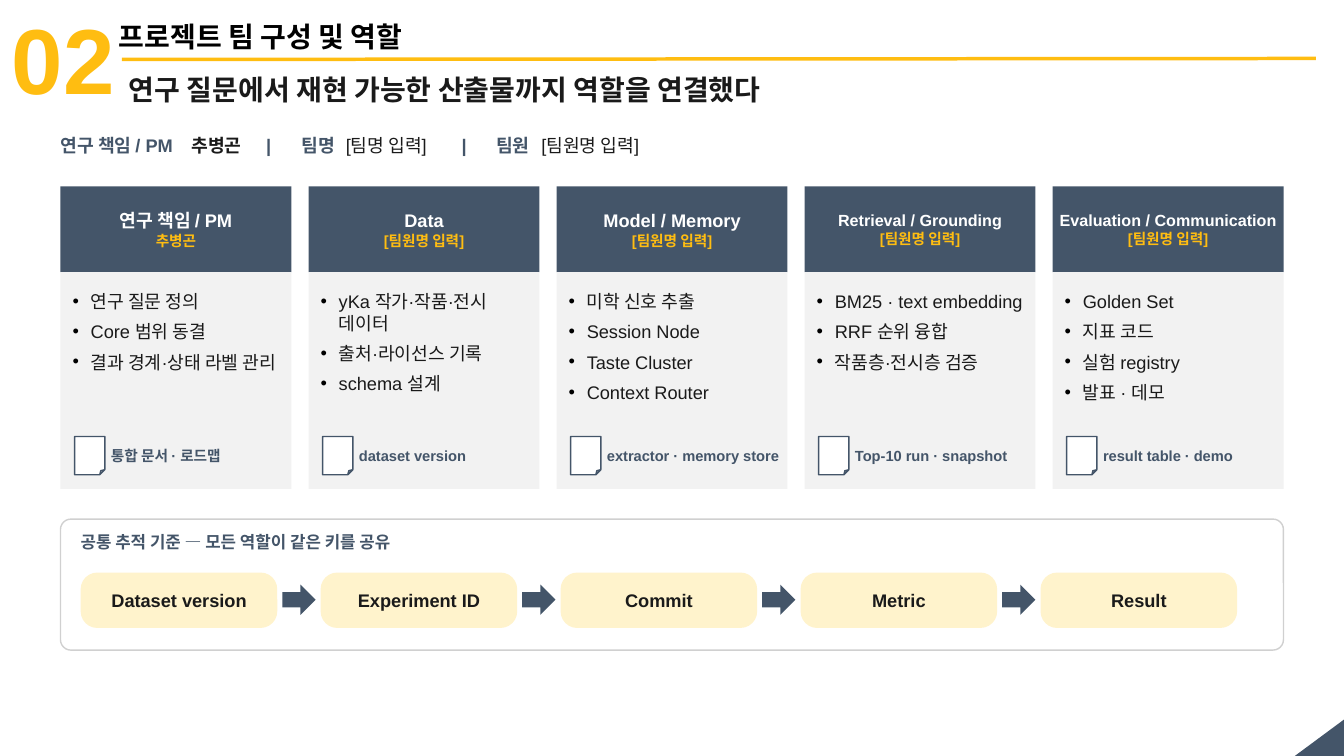
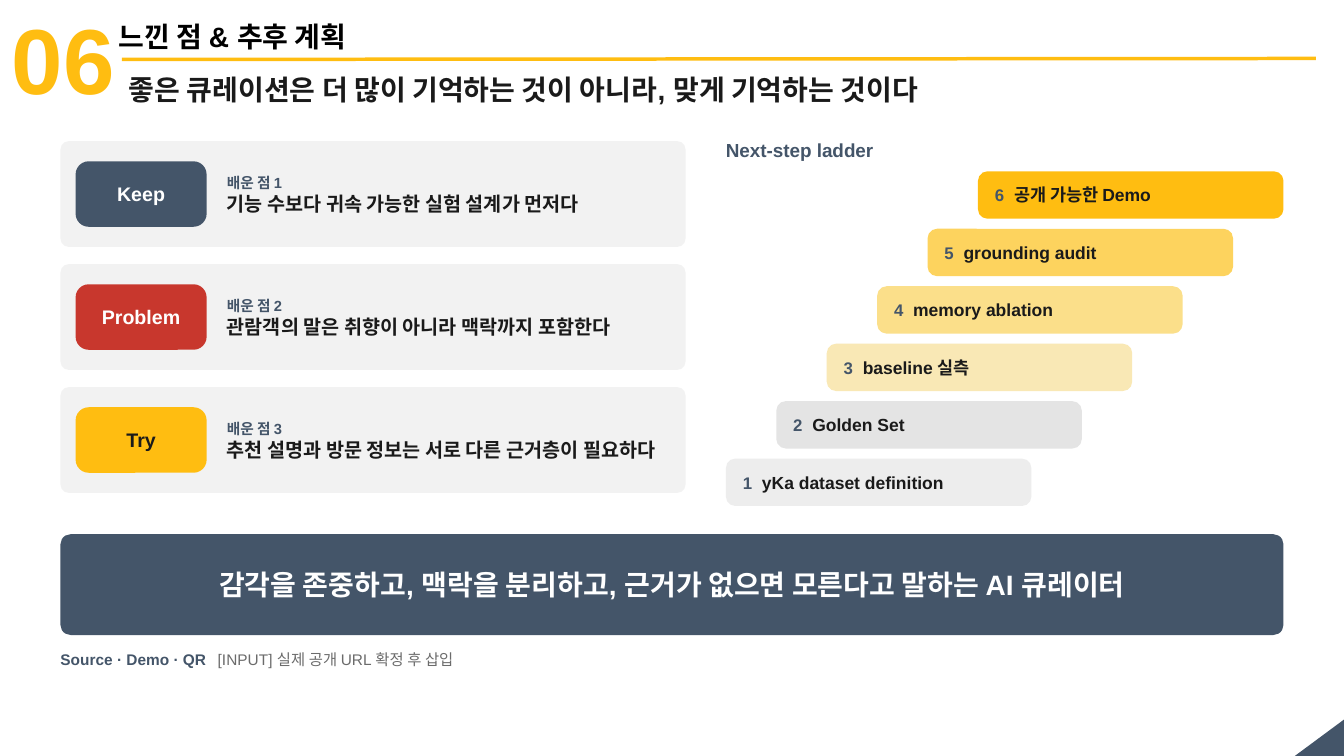
import pptx
import pptx.dml.color
import pptx.enum.shapes
import pptx.enum.text
import pptx.oxml.ns
import pptx.util
from lxml import etree

EMU_PER_PX = 9144  # 100 px to the inch
FONT = "Arial"
NAVY, AMBER, RED, INK = "445569", "FFBD11", "C8372D", "1A1A1A"
WHITE, BLACK, PALE, CREAM = "FFFFFF", "000000", "F2F2F2", "FFF3CC"
BORDER, MUTED = "D0D0D0", "6B6B6B"
LEFT, FULL_WIDTH = 60, 1213

SHAPE = pptx.enum.shapes.MSO_SHAPE
MIDDLE = pptx.enum.text.MSO_ANCHOR.MIDDLE
TOP = pptx.enum.text.MSO_ANCHOR.TOP
CENTER = pptx.enum.text.PP_ALIGN.CENTER
START = pptx.enum.text.PP_ALIGN.LEFT


def px(length):
    return pptx.util.Emu(length * EMU_PER_PX)


def rgb(color):
    return pptx.dml.color.RGBColor.from_string(color)


def add_child(parent, tag, **attributes):
    child = etree.SubElement(parent, pptx.oxml.ns.qn(tag))
    for name, value in attributes.items():
        child.set(name, str(value))
    return child


def set_bullet(paragraph, indent):
    properties = paragraph._p.get_or_add_pPr()
    properties.set("marL", str(px(indent)))
    properties.set("indent", str(px(-indent)))
    add_child(add_child(properties, "a:buClr"), "a:srgbClr", val=BLACK)
    add_child(properties, "a:buFont", typeface=FONT)
    add_child(properties, "a:buChar", char="•")
    paragraph.space_after = pptx.util.Pt(6)


def set_tabs(paragraph, stops):
    tab_list = add_child(paragraph._p.get_or_add_pPr(), "a:tabLst")
    for stop in stops:
        add_child(tab_list, "a:tab", pos=px(stop), algn="l")


def write(frame, paragraphs, insets=(0, 3), anchor=TOP, align=START,
          tabs=(), bullet_indent=0):
    """Fill a frame; each paragraph is a list of (text, size, color, bold)."""
    frame.word_wrap = True
    frame.vertical_anchor = anchor
    frame.margin_left = frame.margin_right = px(insets[0])
    frame.margin_top = frame.margin_bottom = px(insets[1])
    for index, runs in enumerate(paragraphs):
        paragraph = frame.add_paragraph() if index else frame.paragraphs[0]
        paragraph.alignment = align
        if bullet_indent:
            set_bullet(paragraph, bullet_indent)
        if tabs:
            set_tabs(paragraph, tabs)
        for text, size, color, bold in runs:
            run = paragraph.add_run()
            run.text = text
            run.font.name = FONT
            run.font.size = pptx.util.Pt(size)
            run.font.bold = bold
            run.font.color.rgb = rgb(color)


def add_text(slide, box, paragraphs, **layout):
    textbox = slide.shapes.add_textbox(*map(px, box))
    write(textbox.text_frame, paragraphs, **layout)


def add_panel(slide, kind, box, fill, line=None, corner=None):
    panel = slide.shapes.add_shape(kind, *map(px, box))
    panel.shadow.inherit = False
    panel.fill.solid()
    panel.fill.fore_color.rgb = rgb(fill)
    if line:
        panel.line.color.rgb = rgb(line)
        panel.line.width = pptx.util.Pt(1)
    else:
        panel.line.fill.background()
    if corner is not None:
        panel.adjustments[0] = corner
    return panel


def add_label(slide, kind, box, fill, paragraphs, corner=None, inset=0,
              align=CENTER, tabs=()):
    """Add a filled panel with vertically centred text."""
    panel = add_panel(slide, kind, box, fill, corner=corner)
    write(panel.text_frame, paragraphs, (inset, 3), MIDDLE, align, tabs)


def add_rule(slide, start, end, color, weight):
    rule = slide.shapes.add_connector(
        pptx.enum.shapes.MSO_CONNECTOR.STRAIGHT, *map(px, start + end))
    rule.line.color.rgb = rgb(color)
    rule.line.width = pptx.util.Pt(weight)
    add_child(rule._element.spPr, "a:effectLst")


def add_section_slide(deck, number, section, headline):
    slide = deck.slides.add_slide(deck.slide_layouts[6])
    corner = add_panel(slide, SHAPE.RIGHT_TRIANGLE, (1290, 707, 37, 50), NAVY)
    corner.rotation = 270
    add_text(slide, (2, 0, 127, 118), [[(number, 66, AMBER, True)]],
             insets=(10, 2))
    add_text(slide, (108, 14, 700, 44), [[(section, 20, BLACK, True)]],
             insets=(10, 5))
    add_rule(slide, (121, 59), (1305, 58), AMBER, 2.5)
    add_text(slide, (118, 67, 1190, 44), [[(headline, 20, INK, True)]],
             insets=(10, 5))
    return slide


def add_role_card(slide, left, role, member, duties, deliverable):
    role_size = 11.5 if len(role) > 20 else 13
    add_label(slide, SHAPE.RECTANGLE, (left, 185, 229, 85), NAVY,
              [[(role, role_size, WHITE, True)], [(member, 10.5, AMBER, True)]],
              inset=5)
    add_panel(slide, SHAPE.RECTANGLE, (left, 270, 229, 215), PALE)
    add_text(slide, (left + 10, 285, 210, 150),
             [[(duty, 13, INK, False)] for duty in duties],
             insets=(2, 3), bullet_indent=18)
    add_panel(slide, SHAPE.FOLDED_CORNER, (left + 14, 433, 30, 38), WHITE, NAVY)
    add_text(slide, (left + 50, 429, 175, 46),
             [[(deliverable, 10.5, NAVY, True)]], anchor=MIDDLE)


def add_key_chain(slide, keys):
    add_panel(slide, SHAPE.ROUNDED_RECTANGLE, (LEFT, 515, FULL_WIDTH, 130),
              WHITE, BORDER, 0.08)
    add_text(slide, (80, 524, 400, 35),
             [[("공통 추적 기준 — 모든 역할이 같은 키를 공유", 12, NAVY, True)]])
    for index, key in enumerate(keys):
        left = 80 + 238 * index
        if index:
            add_panel(slide, SHAPE.RIGHT_ARROW, (left - 38, 580, 33, 30), NAVY)
        add_label(slide, SHAPE.ROUNDED_RECTANGLE, (left, 568, 195, 55), CREAM,
                  [[(key, 13, INK, True)]], corner=0.3, inset=4)


def add_lesson(slide, index, tag, tag_fill, tag_color, lesson):
    top = 140 + 122 * index
    add_panel(slide, SHAPE.ROUNDED_RECTANGLE, (LEFT, top, 620, 105), PALE,
              corner=0.08)
    add_label(slide, SHAPE.ROUNDED_RECTANGLE, (75, top + 20, 130, 65), tag_fill,
              [[(tag, 14, tag_color, True)]], corner=0.2)
    add_text(slide, (225, top + 8, 445, 90),
             [[(f"배운 점 {index + 1}", 10.5, NAVY, True)],
              [(lesson, 14, INK, True)]], anchor=MIDDLE)


def add_ladder(slide, steps):
    add_text(slide, (720, 135, 550, 35),
             [[("Next-step ladder", 13.5, NAVY, True)]])
    for index, (step, fill) in enumerate(steps):
        add_label(slide, SHAPE.ROUNDED_RECTANGLE,
                  (720 + 50 * index, 455 - 57 * index, 303, 47), fill,
                  [[(f"{index + 1}\t", 12, NAVY, True),
                    (step, 12.5, INK, True)]],
                  corner=0.2, inset=14, align=START, tabs=[19])


def build_team_slide(deck):
    slide = add_section_slide(deck, "02", "프로젝트 팀 구성 및 역할",
                              "연구 질문에서 재현 가능한 산출물까지 역할을 연결했다")
    add_text(slide, (LEFT, 130, 1210, 40), [[
        ("연구 책임 / PM", 13, NAVY, True),
        ("\t추병곤", 13, INK, True),
        ("\t|\t팀명", 13, NAVY, True),
        ("\t[팀명 입력]", 13, INK, False),
        ("\t|\t팀원", 13, NAVY, True),
        ("\t[팀원명 입력]", 13, INK, False),
    ]], tabs=[130, 204, 239, 283, 398, 432, 477])
    unnamed = "[팀원명 입력]"
    roles = [
        ("연구 책임 / PM", "추병곤",
         ["연구 질문 정의", "Core 범위 동결", "결과 경계·상태 라벨 관리"],
         "통합 문서 · 로드맵"),
        ("Data", unnamed,
         ["yKa 작가·작품·전시 데이터", "출처·라이선스 기록", "schema 설계"],
         "dataset version"),
        ("Model / Memory", unnamed,
         ["미학 신호 추출", "Session Node", "Taste Cluster", "Context Router"],
         "extractor · memory store"),
        ("Retrieval / Grounding", unnamed,
         ["BM25 · text embedding", "RRF 순위 융합", "작품층·전시층 검증"],
         "Top-10 run · snapshot"),
        ("Evaluation / Communication", unnamed,
         ["Golden Set", "지표 코드", "실험 registry", "발표 · 데모"],
         "result table · demo"),
    ]
    for index, role in enumerate(roles):
        add_role_card(slide, LEFT + 246 * index, *role)
    add_key_chain(slide, ["Dataset version", "Experiment ID", "Commit",
                          "Metric", "Result"])


def build_plan_slide(deck):
    slide = add_section_slide(
        deck, "06", "느낀 점 & 추후 계획",
        "좋은 큐레이션은 더 많이 기억하는 것이 아니라, 맞게 기억하는 것이다")
    lessons = [
        ("Keep", NAVY, WHITE, "기능 수보다 귀속 가능한 실험 설계가 먼저다"),
        ("Problem", RED, WHITE, "관람객의 말은 취향이 아니라 맥락까지 포함한다"),
        ("Try", AMBER, INK, "추천 설명과 방문 정보는 서로 다른 근거층이 필요하다"),
    ]
    for index, lesson in enumerate(lessons):
        add_lesson(slide, index, *lesson)
    add_ladder(slide, [
        ("yKa dataset definition", "EDEDED"),
        ("Golden Set", "E4E4E4"),
        ("baseline 실측", "F9E8B5"),
        ("memory ablation", "FBDF8A"),
        ("grounding audit", "FDD35E"),
        ("공개 가능한 Demo", AMBER),
    ])
    motto = "감각을 존중하고, 맥락을 분리하고, 근거가 없으면 모른다고 말하는 AI 큐레이터"
    add_label(slide, SHAPE.ROUNDED_RECTANGLE, (LEFT, 530, FULL_WIDTH, 100),
              NAVY, [[(motto, 20, WHITE, True)]], corner=0.1, inset=20)
    add_text(slide, (LEFT, 642, 1210, 35), [[
        ("Source · Demo · QR", 11, NAVY, True),
        ("\t[INPUT] 실제 공개 URL 확정 후 삽입", 11, MUTED, False),
    ]], tabs=[156])


def main():
    deck = pptx.Presentation()
    deck.slide_width, deck.slide_height = px(1333), px(750)
    build_team_slide(deck)
    build_plan_slide(deck)
    deck.save("out.pptx")


if __name__ == "__main__":
    main()
